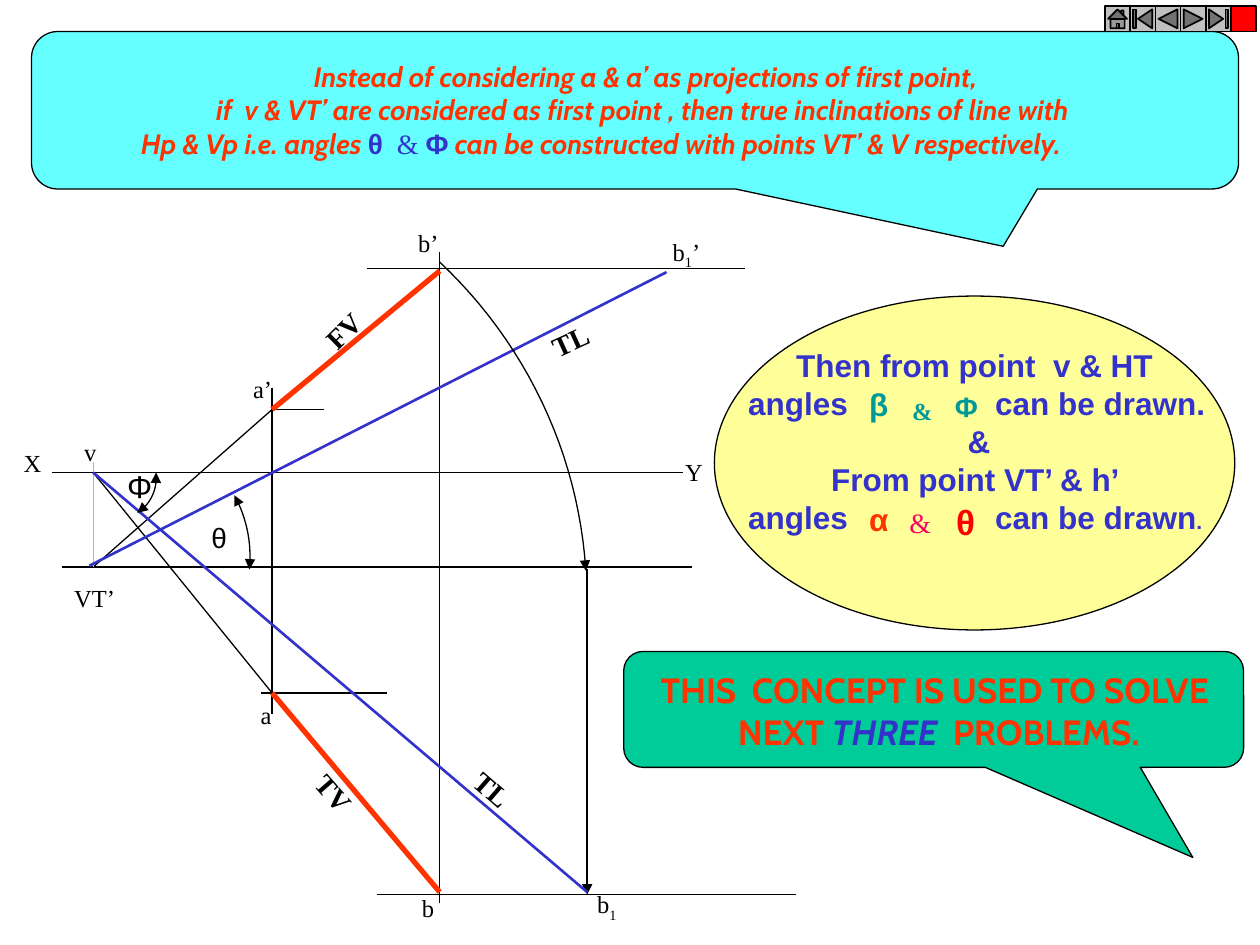
"""Build the slide on true inclinations found from the traces of a line."""
from dataclasses import dataclass

from lxml import etree
from pptx import Presentation
from pptx.dml.color import RGBColor
from pptx.enum.shapes import MSO_CONNECTOR, MSO_SHAPE
from pptx.enum.text import MSO_AUTO_SIZE, PP_ALIGN
from pptx.oxml.ns import qn
from pptx.util import Inches, Pt

STRAIGHT = MSO_CONNECTOR.STRAIGHT
CALLOUT, ELLIPSE = MSO_SHAPE.ROUNDED_RECTANGULAR_CALLOUT, MSO_SHAPE.OVAL
NAVIGATION = (
    MSO_SHAPE.ACTION_BUTTON_HOME,
    MSO_SHAPE.ACTION_BUTTON_BEGINNING,
    MSO_SHAPE.ACTION_BUTTON_BACK_OR_PREVIOUS,
    MSO_SHAPE.ACTION_BUTTON_FORWARD_OR_NEXT,
    MSO_SHAPE.ACTION_BUTTON_END,
    MSO_SHAPE.ACTION_BUTTON_CUSTOM,
)
FIT_TEXT = MSO_AUTO_SIZE.SHAPE_TO_FIT_TEXT
LEFT, CENTER = PP_ALIGN.LEFT, PP_ALIGN.CENTER
ARC_STEPS = 24


@dataclass(frozen=True)
class Theme:
    black: str = "000000"
    blue: str = "3333CC"
    orange: str = "FF3300"
    red: str = "FF0000"
    pink: str = "FF0066"
    teal: str = "009999"
    gray: str = "B2B2B2"
    silver: str = "C0C0C0"
    cyan: str = "66FFFF"
    yellow: str = "FFFF99"
    green: str = "00CC99"
    serif: str = "Times New Roman"
    sans: str = "Arial"
    display: str = "Cabin"
    point: int = 14
    name: int = 16
    body: int = 18
    title: int = 20
    tiny: int = 12
    thin: float = 0.75
    button: float = 1
    medium: float = 1.5
    thick: float = 3


@dataclass(frozen=True)
class Span:
    text: str
    size: int
    font: str
    color: str = Theme.black
    bold: bool = False
    italic: bool = False
    baseline: int = 0


@dataclass(frozen=True)
class Paragraph:
    spans: tuple
    align: PP_ALIGN = CENTER
    indent: float = 0
    tab: float = 0


class Drawing:
    def __init__(self, slide, theme):
        self.slide, self.theme = slide, theme

    def stroke(self, item, color, width, arrows=()):
        item.line.color.rgb = RGBColor.from_string(color)
        item.line.width = Pt(width)
        outline = item.line._get_or_add_ln()
        for end in arrows:
            etree.SubElement(outline, qn(f"a:{end}"), type="triangle")

    def line(self, start, end, color=None, width=None, arrows=()):
        edge = self.slide.shapes.add_connector(STRAIGHT, *map(Inches, start + end))
        self.stroke(edge, color or self.theme.black, width or self.theme.thin, arrows)
        etree.SubElement(edge._element.spPr, qn("a:effectLst"))

    def arc(self, controls, arrows):
        a, b, c, d = (tuple(map(Inches, point)) for point in controls)
        steps = [i / ARC_STEPS for i in range(ARC_STEPS + 1)]
        points = [
            tuple(
                round((1 - t) ** 3 * p + 3 * t * (1 - t) ** 2 * q + 3 * t * t * (1 - t) * r + t**3 * s)
                for p, q, r, s in zip(a, b, c, d)
            )
            for t in steps
        ]
        builder = self.slide.shapes.build_freeform(*points[0])
        builder.add_line_segments(points[1:], close=False)
        curve = builder.convert_to_shape()
        curve.fill.background()
        curve.shadow.inherit = False
        self.stroke(curve, self.theme.black, self.theme.thin, arrows)

    def shape(self, kind, box, fill, width=None, adjustments=()):
        panel = self.slide.shapes.add_shape(kind, *map(Inches, box))
        panel.shadow.inherit = False
        panel.fill.solid()
        panel.fill.fore_color.rgb = RGBColor.from_string(fill)
        self.stroke(panel, self.theme.black, width or self.theme.thin)
        for index, value in enumerate(adjustments):
            panel.adjustments[index] = value

    def text(self, box, paragraphs, rotation=0, right_inset=0.1):
        holder = self.slide.shapes.add_textbox(*map(Inches, box))
        holder.rotation = rotation
        frame = holder.text_frame
        frame.word_wrap = True
        frame.auto_size = FIT_TEXT
        frame.margin_right = Inches(right_inset)
        for index, content in enumerate(paragraphs):
            paragraph = frame.add_paragraph() if index else frame.paragraphs[0]
            paragraph.alignment = content.align
            properties = paragraph._p.get_or_add_pPr()
            if content.indent:
                properties.set("marL", str(Inches(content.indent)))
                properties.set("indent", "0")
            if content.tab:
                stops = etree.SubElement(properties, qn("a:tabLst"))
                etree.SubElement(stops, qn("a:tab"), pos=str(Inches(content.tab)), algn="l")
            for span in content.spans:
                run = paragraph.add_run()
                run.text = span.text
                run.font.name, run.font.size = span.font, Pt(span.size)
                run.font.bold, run.font.italic = span.bold, span.italic
                run.font.color.rgb = RGBColor.from_string(span.color)
                if span.baseline:
                    run._r.get_or_add_rPr().set("baseline", str(span.baseline))

    def label(self, box, *spans, rotation=0):
        self.text(box, [Paragraph(spans, LEFT)], rotation, right_inset=0)


def draw_projections(drawing, theme):
    """Draw the views, true lengths, angles and point names."""
    for start, end in (
        ((2.99, 7.1), (6.32, 7.1)), ((0.49, 4.5), (5.49, 4.5)),
        ((2.16, 3.08), (2.16, 5.67)), ((3.49, 7.17), (3.49, 2)),
        ((2.16, 3.25), (2.57, 3.25)), ((2.16, 3.25), (0.74, 4.5)),
        ((0.74, 3.75), (2.16, 5.5)), ((2.07, 5.5), (3.07, 5.5)),
        ((0.41, 3.75), (5.42, 3.75)), ((2.91, 2.13), (5.91, 2.13)),
    ):
        drawing.line(start, end)
    drawing.line((0.74, 3.67), (0.74, 4.5), theme.gray)
    drawing.line((4.66, 4.52), (4.66, 7.1), arrows=("tailEnd",))
    for start, end in (((0.74, 3.75), (4.66, 7.08)), ((0.71, 4.49), (5.29, 2.16))):
        drawing.line(start, end, theme.blue, theme.medium)
    for start, end in (((2.16, 5.5), (3.49, 7.08)), ((3.49, 2.15), (2.16, 3.25))):
        drawing.line(start, end, theme.orange, theme.thick)

    both = ("headEnd", "tailEnd")
    drawing.arc(((3.49, 2.08), (4.17, 2.72), (4.59, 3.59), (4.65, 4.53)), ("tailEnd",))
    drawing.arc(((1.86, 3.93), (1.96, 4.11), (2, 4.32), (1.98, 4.52)), both)
    drawing.arc(((1.24, 3.75), (1.25, 3.88), (1.2, 4), (1.09, 4.07)), both)

    for name, left, top, width in (
        ("a’", 1.91, 2.92, 0.35), ("VT’", 0.49, 4.58, 0.52), ("v", 0.57, 3.42, 0.3),
        ("X", 0.09, 3.51, 0.34), ("Y", 5.34, 3.58, 0.34), ("b’", 3.22, 1.76, 0.36),
        ("a", 1.97, 5.51, 0.28), ("b", 3.25, 7.04, 0.3),
    ):
        drawing.label((left, top, width, 0.34), Span(name, theme.point, theme.serif))
    b = Span("b", theme.point, theme.serif)
    one = Span("1", theme.point, theme.serif, baseline=-25000)
    drawing.label((4.64, 7.01, 0.35, 0.37), b, one)
    drawing.label((5.24, 1.83, 0.42, 0.37), b, one, Span("’", theme.point, theme.serif))
    drawing.label((1.58, 4.08, 0.31, 0.37), Span("θ", theme.name, theme.sans))
    drawing.label((0.91, 3.66, 0.39, 0.4), Span("Φ", theme.body, theme.sans))
    for name, left, top, width, rotation in (
        ("FV", 2.43, 2.32, 0.83, 315.5), ("TV", 2.34, 6.23, 0.83, 49),
        ("TL", 4.28, 2.52, 0.49, 335.6), ("TL", 3.66, 6.08, 0.49, 41),
    ):
        drawing.label((left, top, width, 0.37), Span(name, theme.name, theme.serif, bold=True), rotation=rotation)


def draw_notes(drawing, theme):
    """Draw the ellipse, the two callouts and their wording."""
    def body(text, size=theme.body):
        return Span(text, size, theme.sans, theme.blue, True)

    def lead(text):
        return Span(text, theme.name, theme.display, theme.orange, True, True)

    def closing(text, color=theme.orange, italic=False):
        return Span(text, theme.title, theme.display, color, True, italic)

    drawing.shape(ELLIPSE, (5.67, 2.35, 4.13, 2.65), theme.yellow)
    drawing.text((5.84, 2.7, 3.86, 1.6), [
        Paragraph((body("Then from point  v & HT "),)),
        Paragraph((body("angles\tcan be drawn."),), LEFT, tab=1.96),
        Paragraph((body("&"),)),
        Paragraph((body("From point VT’ & h’ "),)),
        Paragraph((body("angles\tcan be drawn"), body(".", theme.tiny)), LEFT, tab=1.96),
    ])
    for box, symbol in (
        ((7.49, 3.92, 0.34, 0.44), Span("θ", theme.title, theme.sans, theme.red, True)),
        ((6.8, 3.92, 0.36, 0.4), Span("α", theme.body, theme.sans, theme.orange, True)),
        ((7.12, 3.96, 0.37, 0.37), Span("&", theme.name, theme.serif, theme.pink)),
        ((7.48, 3.04, 0.37, 0.37), Span("Φ", theme.name, theme.sans, theme.teal, True)),
        ((6.8, 3.01, 0.34, 0.4), Span("β", theme.body, theme.sans, theme.teal, True)),
        ((7.14, 3.09, 0.36, 0.34), Span("&", theme.point, theme.serif, theme.teal, True)),
    ):
        drawing.label(box, symbol)

    drawing.shape(CALLOUT, (0.25, 0.25, 9.58, 1.25), theme.cyan, adjustments=(0.305, 0.864, 0.167))
    drawing.text((0.58, 0.42, 9.09, 0.9), [
        Paragraph((lead("Instead of considering a & a’ as projections of first point,"),)),
        Paragraph((lead("if  v & VT’ are considered as first point , then true inclinations of line with "),)),
        Paragraph((
            lead("Hp & Vp i.e. angles "),
            Span("θ", theme.name, theme.sans, theme.blue, True),
            Span("  & ", theme.name, theme.serif, theme.blue),
            Span("Φ", theme.name, theme.sans, theme.blue, True),
            lead(" can be constructed with points VT’ & V respectively."),
        ), LEFT, indent=0.44),
    ])

    drawing.shape(CALLOUT, (4.95, 5.17, 4.92, 0.92), theme.green, adjustments=(0.418, 1.277, 0.167))
    drawing.text((5.02, 5.26, 4.8, 0.77), [
        Paragraph((closing("THIS  CONCEPT IS USED TO SOLVE"),)),
        Paragraph((closing(" NEXT "), closing("THREE", theme.blue, True), closing("  PROBLEMS."))),
    ])


def main():
    """Assemble and save the slide."""
    deck = Presentation()
    deck.slide_width, deck.slide_height = Inches(10), Inches(7.5)
    theme = Theme()
    drawing = Drawing(deck.slides.add_slide(deck.slide_layouts[6]), theme)
    draw_projections(drawing, theme)
    draw_notes(drawing, theme)
    for index, kind in enumerate(NAVIGATION):
        fill = theme.red if kind == NAVIGATION[-1] else theme.silver
        drawing.shape(kind, (8.77 + 0.2 * index, 0.05, 0.2, 0.2), fill, theme.button)
    deck.save("out.pptx")


if __name__ == "__main__":
    main()
